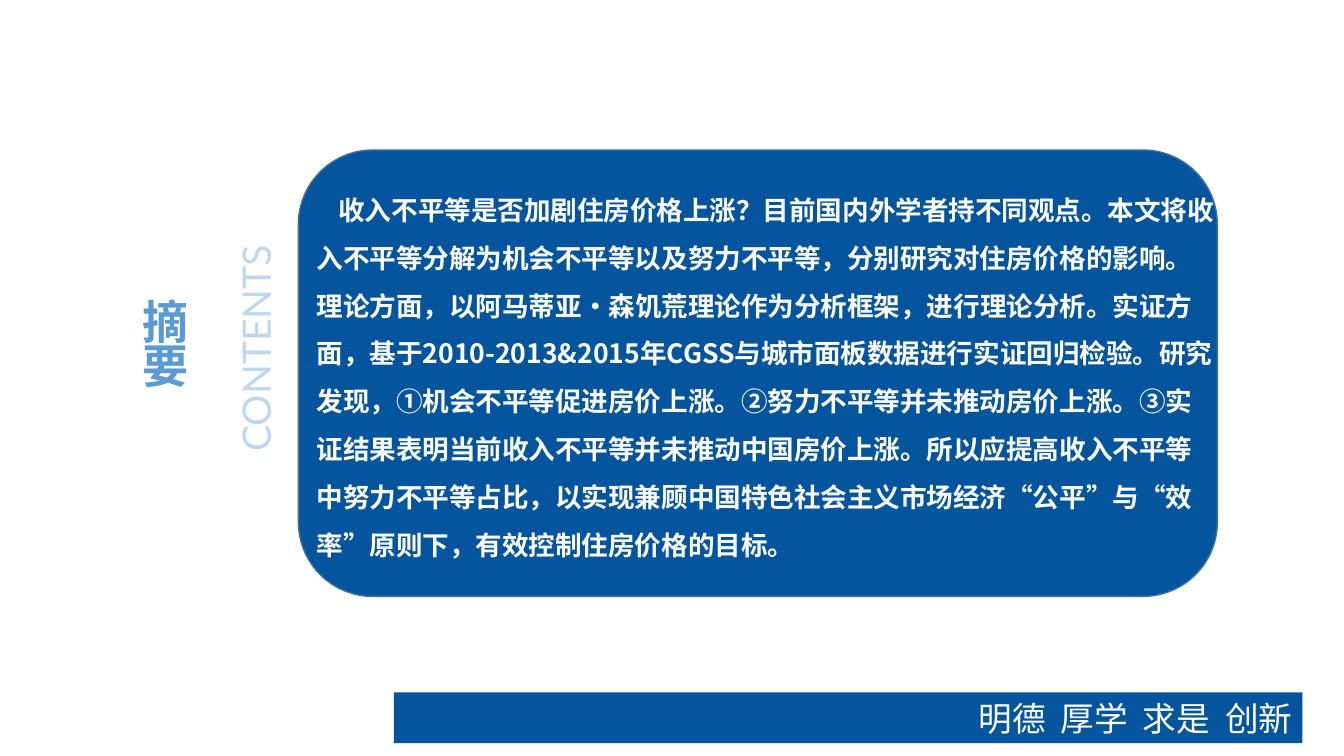
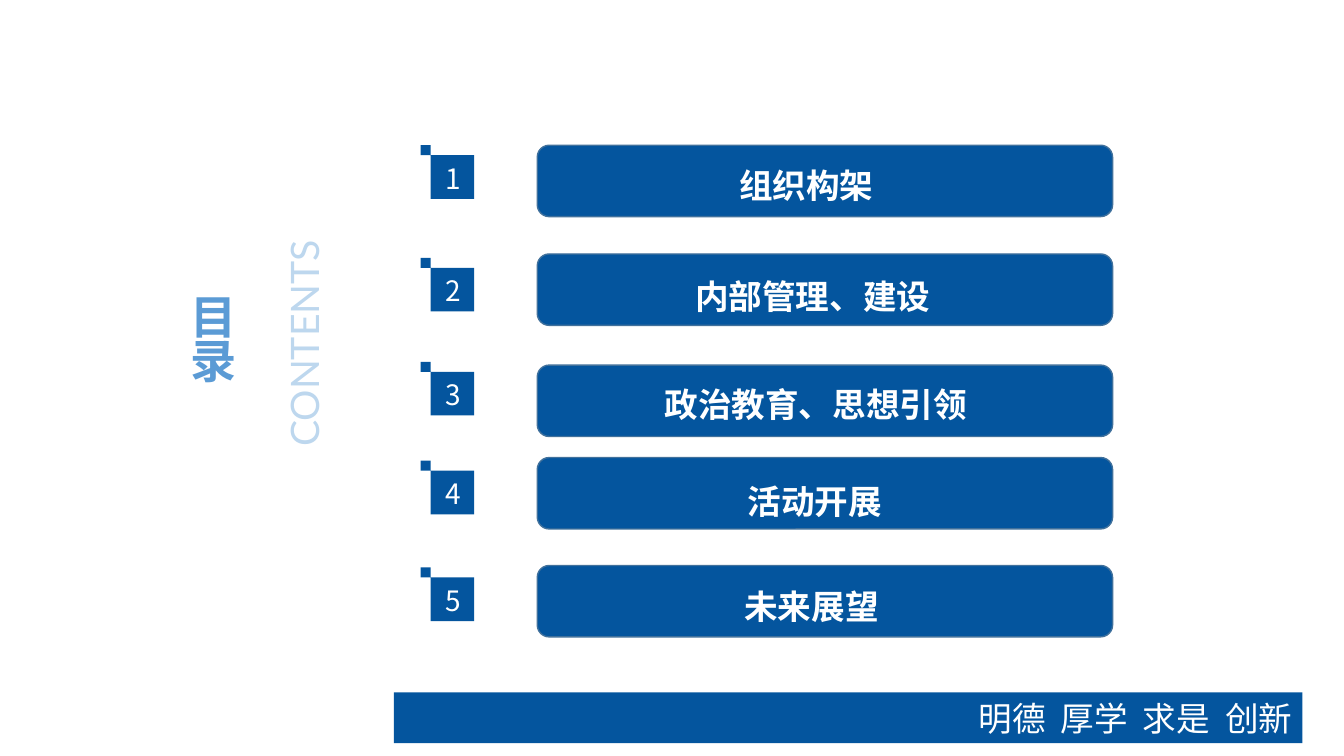
from lxml.etree import SubElement
from pptx import Presentation
from pptx.dml.color import RGBColor
from pptx.enum.shapes import MSO_SHAPE as Shape
from pptx.enum.text import MSO_ANCHOR as Anchor, MSO_AUTO_SIZE as AutoSize, PP_ALIGN as Align
from pptx.oxml.ns import qn
from pptx.util import Cm, Pt

COLORS = {
    "band": "04559E",
    "outline": "41719C",
    "title": "5B9BD5",
    "subtitle": "BDD7EE",
    "light": "FFFFFF",
}
CHINESE_FONT = "Noto Sans CJK SC"
LATIN_FONT = "Lato"
TITLE_AND_CONTENT, TITLE_ONLY = 1, 5

ABSTRACT = (
    "收入不平等是否加剧住房价格上涨？目前国内外学者持不同观点。"
    "本文将收入不平等分解为机会不平等以及努力不平等，分别研究对住房价格的影响。"
    "理论方面，以阿马蒂亚·森饥荒理论作为分析框架，进行理论分析。"
    "实证方面，基于2010-2013&2015年CGSS与城市面板数据进行实证回归检验。"
    "研究发现，①机会不平等促进房价上涨。②努力不平等并未推动房价上涨。"
    "③实证结果表明当前收入不平等并未推动中国房价上涨。"
    "所以应提高收入不平等中努力不平等占比，以实现兼顾中国特色社会主义市场经济"
    "“公平”与“效率”原则下，有效控制住房价格的目标。"
)

SECTIONS = [
    ("组织构架", 3.66, 3.66, 5.0, 0.1),
    ("内部管理、建设", 6.4, 6.5, 3.89, 0.2),
    ("政治教育、思想引领", 9.2, 9.12, 3.12, 0.05),
    ("活动开展", 11.53, 11.61, 5.21, 0.3),
    ("未来展望", 14.25, 14.3, 5.13, 0.15),
]


def color(name):
    return RGBColor.from_string(COLORS[name])


class Deck:
    def __init__(self):
        self.presentation = Presentation()
        self.presentation.slide_width = Cm(33.87)
        self.presentation.slide_height = Cm(19.05)
        self.slide = None

    def add_slide(self, layout):
        layouts = self.presentation.slide_layouts
        self.slide = self.presentation.slides.add_slide(layouts[layout])

    def place(self, shape, left, top, width, height):
        shape.left, shape.top = Cm(left), Cm(top)
        shape.width, shape.height = Cm(width), Cm(height)

    def set_text(self, shape, text, size, ink="light", font=CHINESE_FONT, bold=False,
                 align=Align.LEFT, anchor=Anchor.MIDDLE, margins=(0, 0, 0, 0), spacing=1.0):
        frame = shape.text_frame
        frame.text = text
        frame.word_wrap = True
        frame.auto_size = AutoSize.NONE
        frame.vertical_anchor = anchor
        (frame.margin_left, frame.margin_top,
         frame.margin_right, frame.margin_bottom) = map(Cm, margins)
        paragraph = frame.paragraphs[0]
        paragraph.alignment = align
        paragraph.line_spacing = spacing
        paragraph.space_before = Pt(0)
        paragraph.font.size = Pt(size)
        paragraph.font.bold = bold
        paragraph.font.color.rgb = color(ink)
        paragraph.font.name = font
        properties = paragraph._p.get_or_add_pPr().get_or_add_defRPr()
        SubElement(properties, qn("a:ea"), typeface=font)
        return paragraph

    def paint(self, shape, outlined=False):
        shape.shadow.inherit = False
        shape.fill.solid()
        shape.fill.fore_color.rgb = color("band")
        if outlined:
            shape.line.color.rgb = color("outline")
            shape.line.width = Pt(1)
        else:
            shape.line.fill.background()
        return shape

    def block(self, kind, left, top, width, height, outlined=False):
        box = map(Cm, (left, top, width, height))
        return self.paint(self.slide.shapes.add_shape(kind, *box), outlined)

    def heading(self, text, left, top):
        title = self.slide.shapes.title
        width, height = 1.6, 3.33
        self.place(title, left, top, width, height)
        self.set_text(title, text, 33, "title", bold=True,
                      margins=(0.25, 0.13, 0.25, 0.13), spacing=0.8)
        length, thickness = 10.24, 1.2
        center_x, center_y = left + 3.1, top + height / 2
        subtitle = self.slide.shapes.add_textbox(
            Cm(center_x - length / 2), Cm(center_y - thickness / 2),
            Cm(length), Cm(thickness))
        subtitle.rotation = 270
        self.set_text(subtitle, "CONTENTS", 28, "subtitle", LATIN_FONT, align=Align.CENTER)

    def panel(self, text):
        self.block(Shape.ROUNDED_RECTANGLE, 7.52, 3.78, 23.16, 11.25, outlined=True)
        body = self.slide.placeholders[1]
        self.slide.shapes._spTree.append(body._element)
        self.place(body, 7.98, 3.35, 22.73, 11.91)
        paragraph = self.set_text(body, text, 19, bold=True, spacing=1.5)
        properties = paragraph._p.get_or_add_pPr()
        properties.set("marL", "0")
        properties.set("indent", str(Cm(0.55)))
        bullet = SubElement(properties, qn("a:buNone"))
        properties.find(qn("a:defRPr")).addprevious(bullet)

    def badge(self, number, left, top):
        small, size = 0.25, 1.35

        def square(start, end):
            corners = [(start, start), (end, start), (end, end), (start, end)]
            return [(Cm(left + x), Cm(top + y)) for x, y in corners]

        large_square, small_square = square(small, size), square(0, small)
        builder = self.slide.shapes.build_freeform(*large_square[0])
        builder.add_line_segments(large_square[1:])
        builder.move_to(*small_square[0])
        builder.add_line_segments(small_square[1:])
        shape = self.paint(builder.convert_to_shape())
        self.set_text(shape, str(number), 20, align=Align.CENTER, margins=(0.3, 0.3, 0, 0))

    def button(self, text, top, indent, drop):
        shape = self.block(Shape.ROUNDED_RECTANGLE, 13.54, top, 14.5, 1.8, outlined=True)
        self.set_text(shape, text, 24, bold=True, margins=(indent, drop, 0, 0), spacing=1.1)

    def footer(self):
        band = self.block(Shape.RECTANGLE, 9.93, 17.45, 22.89, 1.28)
        self.set_text(band, "明德  厚学  求是  创新", 24, align=Align.RIGHT,
                      anchor=Anchor.TOP, margins=(0.25, 0.13, 0.25, 0.13))


def main():
    deck = Deck()

    deck.add_slide(TITLE_AND_CONTENT)
    deck.heading("摘要", 3.33, 7.11)
    deck.panel(ABSTRACT)
    deck.footer()

    deck.add_slide(TITLE_ONLY)
    deck.heading("目录", 4.55, 6.99)
    for number, (label, button_top, badge_top, indent, drop) in enumerate(SECTIONS, 1):
        deck.badge(number, 10.6, badge_top)
        deck.button(label, button_top, indent, drop)
    deck.footer()

    deck.presentation.save("out.pptx")


if __name__ == "__main__":
    main()
